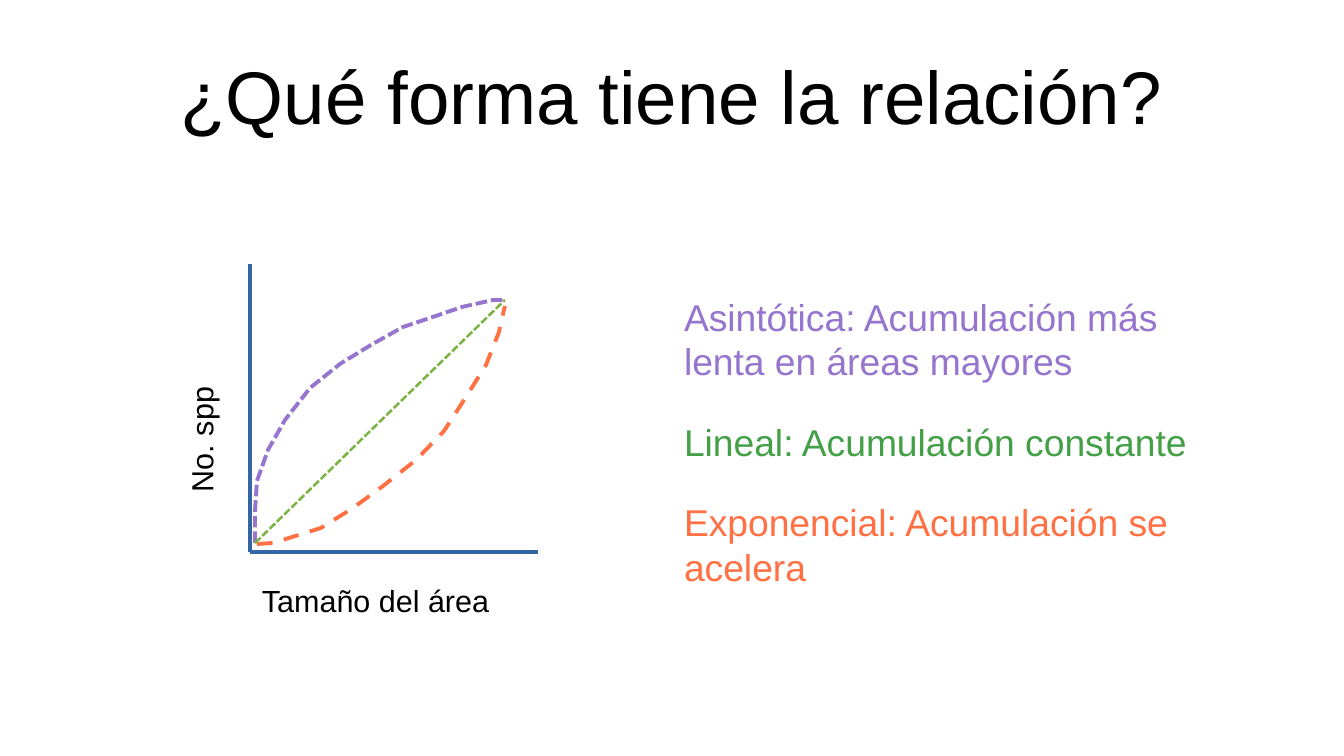
"""Builds the slide on the shape of the species-area relation."""
from lxml import etree
from pptx import Presentation
from pptx.dml.color import RGBColor
from pptx.enum.dml import MSO_LINE
from pptx.enum.shapes import MSO_CONNECTOR
from pptx.enum.text import MSO_ANCHOR, PP_ALIGN
from pptx.oxml.ns import qn
from pptx.util import Pt

PX = 914400 / 122
STRAIGHT = MSO_CONNECTOR.STRAIGHT
DASH, SHORT_DASH = MSO_LINE.DASH, MSO_LINE.SQUARE_DOT
LEFT, CENTER = PP_ALIGN.LEFT, PP_ALIGN.CENTER
TOP, MIDDLE = MSO_ANCHOR.TOP, MSO_ANCHOR.MIDDLE
COLORS = {
    "text": "000000",
    "axis": "3465A4",
    "asymptotic": "9575CD",
    "diagonal": "7CB342",
    "linear": "43A047",
    "exponential": "FF7043",
}
ASYMPTOTIC = [
    (255, 543), (255, 511), (257, 481), (268, 450), (285, 420), (310, 388), (340, 364),
    (371, 345), (403, 327), (433, 317), (462, 307), (493, 300), (503, 300),
]
EXPONENTIAL = [
    (257, 544), (273, 543), (289, 538), (321, 528), (353, 508), (383, 486), (416, 460),
    (444, 431), (466, 397), (486, 365), (499, 332), (501, 322), (504, 310), (505, 306),
]
RELATIONS = [
    ("Asintótica: Acumulación más lenta en áreas mayores", "asymptotic"),
    ("Lineal: Acumulación constante", "linear"),
    ("Exponencial: Acumulación se acelera", "exponential"),
]


def emu(*lengths):
    return [round(length * PX) for length in lengths]


class SlideBuilder:
    def __init__(self, slide, font="Arial"):
        self.shapes = slide.shapes
        self.font = font

    def text(self, box, paragraphs, size=18, align=LEFT, anchor=TOP,
             inset=(12, 6), gap=0, rotation=0):
        label = self.shapes.add_textbox(*emu(*box))
        label.rotation = rotation
        frame = label.text_frame
        frame.word_wrap = True
        frame.vertical_anchor = anchor
        frame.margin_left = frame.margin_right = emu(inset[0])[0]
        frame.margin_top = frame.margin_bottom = emu(inset[1])[0]
        for index, (words, color) in enumerate(paragraphs):
            paragraph = frame.paragraphs[0] if index == 0 else frame.add_paragraph()
            paragraph.alignment = align
            paragraph.space_before = Pt(gap if index else 0)
            run = paragraph.add_run()
            run.text = words
            run.font.name = self.font
            run.font.size = Pt(size)
            run.font.color.rgb = RGBColor.from_string(COLORS[color])

    def stroke(self, line, color, width, dash):
        line.color.rgb = RGBColor.from_string(COLORS[color])
        line.width = Pt(width)
        if dash:
            line.dash_style = dash

    def line(self, start, end, color, width=2.3, dash=None):
        connector = self.shapes.add_connector(STRAIGHT, *emu(*start, *end))
        self.stroke(connector.line, color, width, dash)
        etree.SubElement(connector._element.spPr, qn("a:effectLst"))

    def curve(self, points, color, dash, width=2.3):
        outline = self.shapes.build_freeform(*points[0], scale=PX)
        outline.add_line_segments(points[1:], close=False)
        curve = outline.convert_to_shape()
        curve.shadow.inherit = False
        curve.fill.background()
        self.stroke(curve.line, color, width, dash)


def main():
    deck = Presentation()
    deck.slide_width, deck.slide_height = emu(1344, 756)
    page = SlideBuilder(deck.slides.add_slide(deck.slide_layouts[6]))

    page.text((67, 31, 1210, 127), [("¿Qué forma tiene la relación?", "text")],
              size=44, align=CENTER, anchor=MIDDLE, inset=(0, 0))

    origin = (250, 552)
    page.line((250, 264), origin, "axis")
    page.line((538, 552), origin, "axis")
    page.curve(EXPONENTIAL, "exponential", DASH)
    page.curve(ASYMPTOTIC, "asymptotic", SHORT_DASH)
    page.line((255, 543), (505, 300), "diagonal", width=1.5, dash=SHORT_DASH)

    page.text((250, 576, 288, 46), [("Tamaño del área", "text")])
    page.text((56, 337, 288, 46), [("No. spp", "text")], rotation=270)
    page.text((672, 288, 528, 289), RELATIONS, size=22, gap=21)
    deck.save("out.pptx")


if __name__ == "__main__":
    main()
